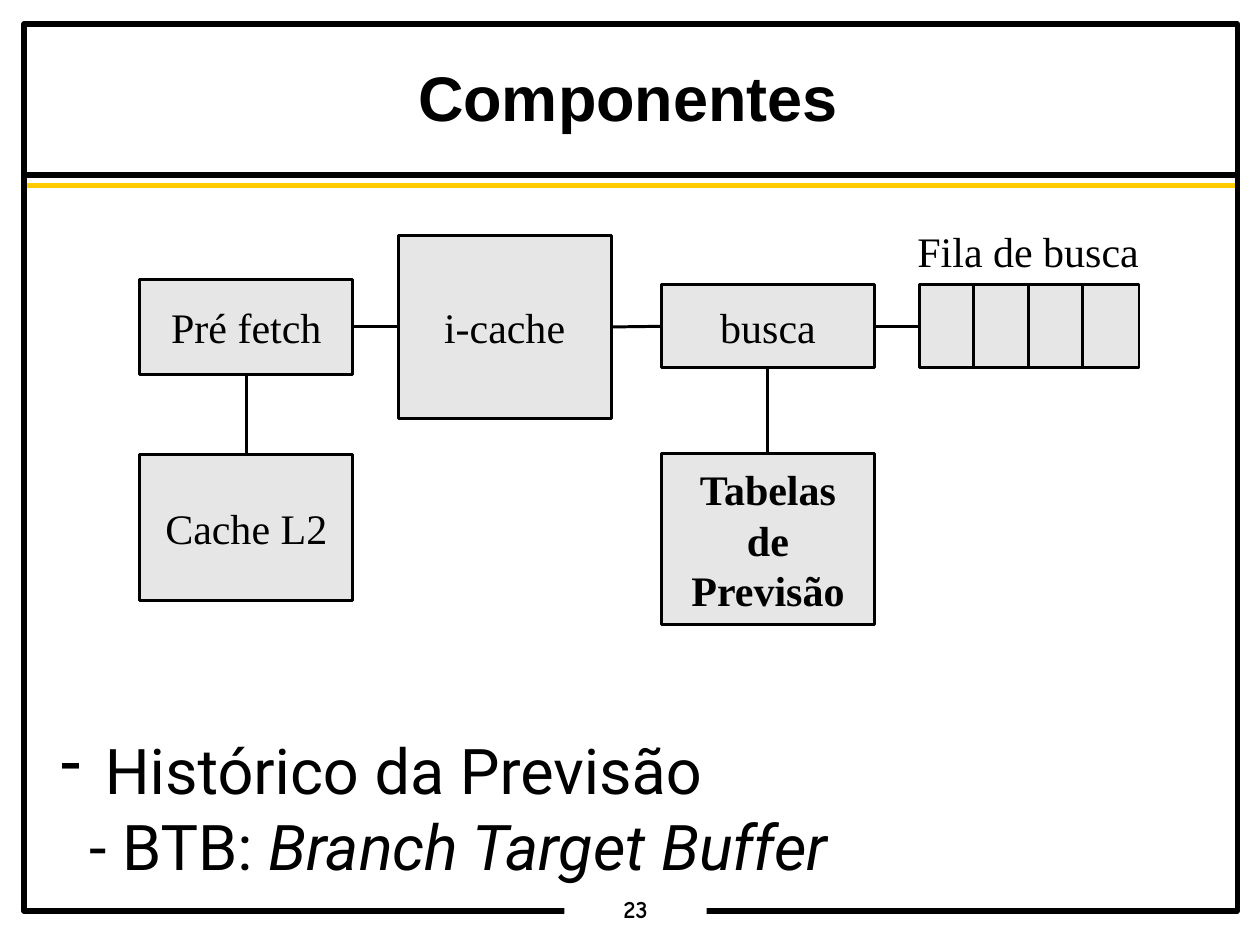
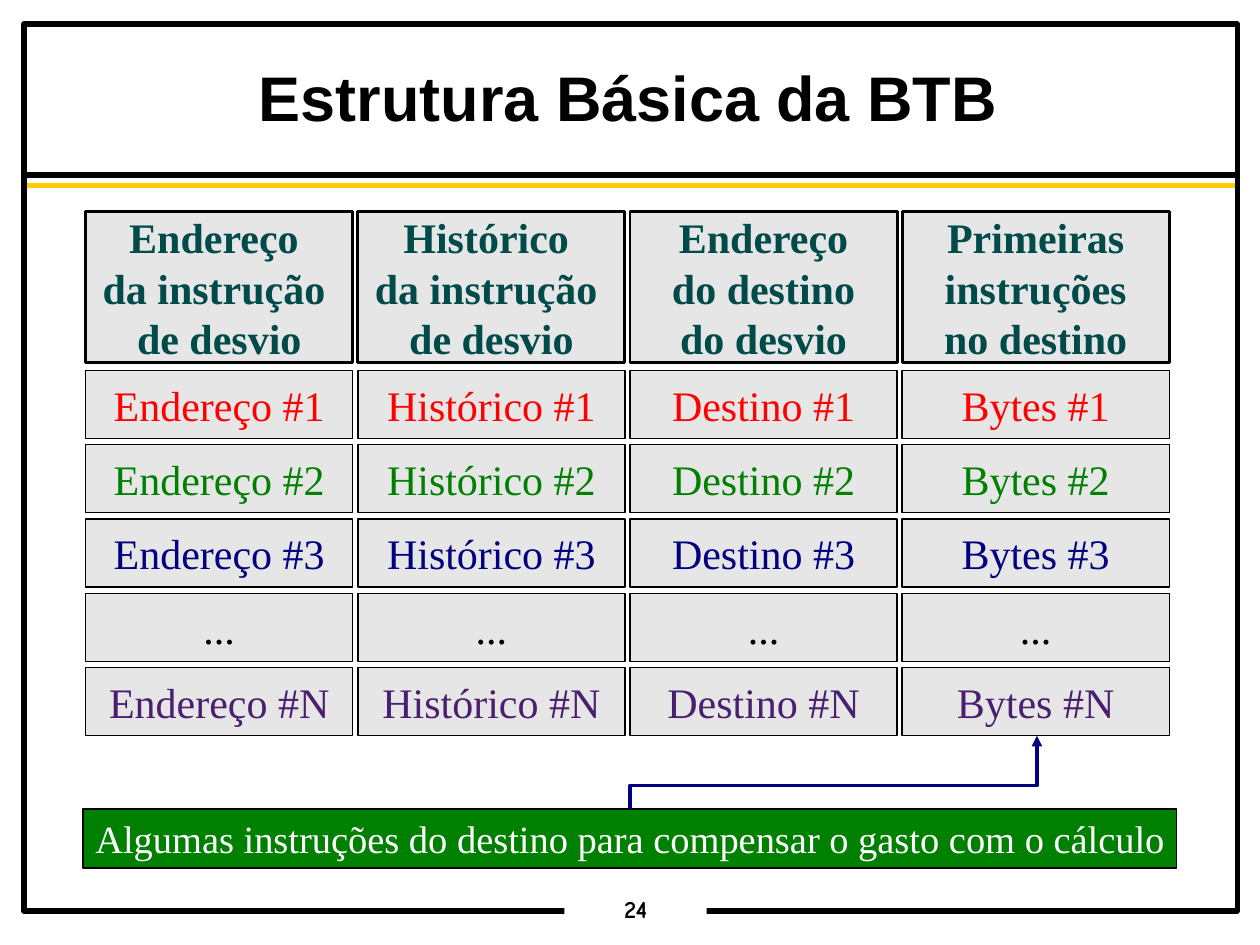
"""Builds two slides on branch prediction: fetch components and the BTB layout."""
from dataclasses import dataclass
from typing import Optional

from lxml.etree import SubElement
from pptx import Presentation
from pptx.dml.color import RGBColor
from pptx.enum.shapes import MSO_CONNECTOR as Connector, MSO_SHAPE as Shape
from pptx.enum.text import MSO_ANCHOR as Anchor, PP_ALIGN as Align
from pptx.oxml.ns import qn
from pptx.util import Inches, Pt

BLACK = RGBColor(0x00, 0x00, 0x00)
WHITE = RGBColor(0xFF, 0xFF, 0xFF)
GOLD = RGBColor(0xFF, 0xCC, 0x00)
GREY = RGBColor(0xE6, 0xE6, 0xE6)
TEAL = RGBColor(0x00, 0x4A, 0x4A)
RED = RGBColor(0xFF, 0x00, 0x00)
GREEN = RGBColor(0x00, 0x80, 0x00)
NAVY = RGBColor(0x00, 0x00, 0x80)
PURPLE = RGBColor(0x4B, 0x1F, 0x6F)

TITLE_FONT, BODY_FONT = "Arial", "Roboto"
BOX_FONT, NUMBER_FONT = "Times New Roman", "Comic Neue"
TOP, LEFT, BOTTOM, RIGHT = range(4)
OUTLINE = 1.7
HAIRLINE = 0


@dataclass(frozen=True)
class Box:
    """A rectangle in inches with its text and look."""
    left: float
    top: float
    width: float
    height: float
    text: str = ""
    color: RGBColor = BLACK
    size: float = 24
    bold: bool = False
    font: str = BOX_FONT
    fill: Optional[RGBColor] = GREY
    line: Optional[float] = OUTLINE


@dataclass(frozen=True)
class Column:
    """A BTB column: its heading and the word used in its entries."""
    heading: str
    entry: str


@dataclass(frozen=True)
class Row:
    """A BTB row: the entry suffix and its colour; no suffix means an ellipsis."""
    suffix: str
    color: RGBColor


COMPONENTS = {
    "l2": Box(1.11, 3.61, 1.69, 1.16, "Cache L2"),
    "prefetch": Box(1.11, 2.22, 1.69, 0.75, "Pré fetch"),
    "icache": Box(3.16, 1.87, 1.69, 1.45, "i-cache"),
    "fetch": Box(5.25, 2.26, 1.69, 0.66, "busca"),
    "tables": Box(5.25, 3.6, 1.69, 1.36, "Tabelas\vde\vPrevisão", bold=True),
}
QUEUE_CELLS = [Box(7.3 + 0.43 * i, 2.26, 0.45, 0.66) for i in range(4)]
LINKS = [("fetch", RIGHT, "queue", LEFT), ("icache", RIGHT, "fetch", LEFT),
         ("prefetch", RIGHT, "icache", LEFT), ("l2", TOP, "prefetch", BOTTOM),
         ("tables", TOP, "fetch", BOTTOM)]

COLUMNS = [Column("Endereço \vda instrução \nde desvio", "Endereço"),
           Column("Histórico \vda instrução \nde desvio", "Histórico"),
           Column("Endereço\vdo destino\vdo desvio", "Destino"),
           Column("Primeiras\vinstruções\vno destino", "Bytes")]
ROWS = [Row("#1", RED), Row("#2", GREEN), Row("#3", NAVY), Row("", BLACK), Row("#N", PURPLE)]


def format_text(frame, font: str, size: float, color: RGBColor, bold: bool = False,
                align: Align = Align.CENTER, spacing: float = 1.0) -> None:
    """Apply one style to every paragraph and run of a text frame."""
    for para in frame.paragraphs:
        para.alignment = align
        para.line_spacing = spacing
        for span in para.runs:
            span.font.name = font
            span.font.size = Pt(size)
            span.font.bold = bold
            span.font.color.rgb = color


def set_margins(frame, across: float, down: float) -> None:
    """Set the horizontal and vertical insets in inches."""
    frame.margin_left = frame.margin_right = Inches(across)
    frame.margin_top = frame.margin_bottom = Inches(down)


def add_box(slide, box: Box):
    """Draw a rectangle with centred text."""
    shape = slide.shapes.add_shape(Shape.RECTANGLE, Inches(box.left), Inches(box.top),
                                   Inches(box.width), Inches(box.height))
    shape.shadow.inherit = False
    if box.fill is None:
        shape.fill.background()
    else:
        shape.fill.solid()
        shape.fill.fore_color.rgb = box.fill
    if box.line is None:
        shape.line.fill.background()
    else:
        shape.line.color.rgb = BLACK
        shape.line.width = Pt(box.line)
    if box.text:
        frame = shape.text_frame
        frame.text = box.text
        frame.word_wrap = False
        frame.vertical_anchor = Anchor.MIDDLE
        set_margins(frame, 0.1, 0.05)
        format_text(frame, box.font, box.size, box.color, box.bold)
    return shape


def add_line(slide, start: tuple[float, float], end: tuple[float, float],
             color: RGBColor = BLACK, width: float = OUTLINE,
             kind: Connector = Connector.STRAIGHT):
    """Draw a connector without shadow between two points in inches."""
    line = slide.shapes.add_connector(kind, *map(Inches, start + end))
    line.line.color.rgb = color
    line.line.width = Pt(width)
    SubElement(line._element.spPr, qn("a:effectLst"))
    return line


def add_link(slide, source, source_side: int, target, target_side: int) -> None:
    """Join two shapes by the middles of their sides."""
    line = add_line(slide, (0, 0), (0, 0))
    line.begin_connect(source, source_side)
    line.end_connect(target, target_side)


def add_rising_arrow(slide, start: tuple[float, float], end: tuple[float, float]) -> None:
    """Draw an elbow arrow that leaves upwards and arrives upwards."""
    middle_x, middle_y = (start[0] + end[0]) / 2, (start[1] + end[1]) / 2
    half_rise, half_run = (start[1] - end[1]) / 2, (end[0] - start[0]) / 2
    arrow = add_line(slide, (middle_x + half_rise, middle_y + half_run),
                     (middle_x - half_rise, middle_y - half_run), NAVY, 2, Connector.ELBOW)
    properties = arrow._element.spPr
    properties.find(qn("a:xfrm")).set("rot", "5400000")
    adjustments = properties.find(qn("a:prstGeom")).find(qn("a:avLst"))
    SubElement(adjustments, qn("a:gd"), name="adj1", fmla="val 32000")
    SubElement(properties.find(qn("a:ln")), qn("a:tailEnd"), type="triangle")


def add_page(deck, title: str, number: int):
    """Add a slide with the shared frame, rules, title and page number."""
    page = deck.slides.add_slide(deck.slide_layouts[5])
    for top, color in ((1.39, BLACK), (1.47, GOLD)):
        add_line(page, (0.2, top), (9.83, top), color, 3)
    add_box(page, Box(0.19, 0.19, 9.63, 7.04, fill=None, line=3))
    footer = add_box(page, Box(4.48, 7.09, 1.13, 0.27, str(number), size=14, bold=True,
                               font=NUMBER_FONT, fill=WHITE, line=None)).text_frame
    footer.vertical_anchor = Anchor.TOP
    set_margins(footer, 0.07, 0.03)
    footer.paragraphs[0].line_spacing = 0.9

    heading = page.shapes.title
    heading.left, heading.top = Inches(0.16), Inches(0.24)
    heading.width, heading.height = Inches(9.65), Inches(1.1)
    frame = heading.text_frame
    frame.text = title
    frame.vertical_anchor = Anchor.MIDDLE
    set_margins(frame, 0, 0)
    format_text(frame, TITLE_FONT, 36, BLACK, True, spacing=0.95)
    return page


def add_summary(slide) -> None:
    """Write the dashed summary below the diagram."""
    box = slide.shapes.add_textbox(Inches(0.38), Inches(5.68), Inches(8.5), Inches(1.46))
    frame = box.text_frame
    frame.word_wrap = True
    frame.vertical_anchor = Anchor.MIDDLE
    para = frame.paragraphs[0]
    para.text = " Histórico da Previsão \v- BTB: "
    term = para.add_run()
    term.text = "Branch Target Buffer"
    term.font.italic = True
    format_text(frame, BODY_FONT, 36, BLACK, align=Align.LEFT)
    properties = para._p.get_or_add_pPr()
    properties.set("marL", str(Inches(0.23)))
    properties.set("indent", str(-Inches(0.23)))
    SubElement(properties, qn("a:buChar"), char="-")


def build_components(deck) -> None:
    """Build the slide that shows the fetch components."""
    page = add_page(deck, "Componentes", 23)
    add_summary(page)
    shapes = {name: add_box(page, box) for name, box in COMPONENTS.items()}
    cells = [add_box(page, cell) for cell in QUEUE_CELLS]
    shapes["queue"] = cells[0]
    add_box(page, Box(7.22, 1.66, 1.88, 0.66, "Fila de busca", fill=None, line=None))
    for source, source_side, target, target_side in LINKS:
        add_link(page, shapes[source], source_side, shapes[target], target_side)


def build_btb(deck) -> None:
    """Build the slide that shows the BTB as a grid of boxes."""
    page = add_page(deck, "Estrutura Básica da BTB", 24)
    for i, column in enumerate(COLUMNS):
        left = 0.68 + 2.16 * i
        add_box(page, Box(left, 1.68, 2.12, 1.2, column.heading, TEAL, bold=True))
        for j, row in enumerate(ROWS):
            text = f"{column.entry} {row.suffix}" if row.suffix else "..."
            add_box(page, Box(left, 2.94 + 0.59 * j, 2.12, 0.54, text, row.color, line=HAIRLINE))
    add_box(page, Box(0.66, 6.42, 8.68, 0.47,
                      "Algumas instruções do destino para compensar o gasto com o cálculo",
                      WHITE, 22, fill=GREEN, line=HAIRLINE))
    add_rising_arrow(page, (5, 6.42), (8.23, 5.84))


def main() -> None:
    """Build the deck and save it."""
    deck = Presentation()
    deck.slide_width, deck.slide_height = Inches(10), Inches(7.5)
    build_components(deck)
    build_btb(deck)
    deck.save("out.pptx")


if __name__ == "__main__":
    main()
